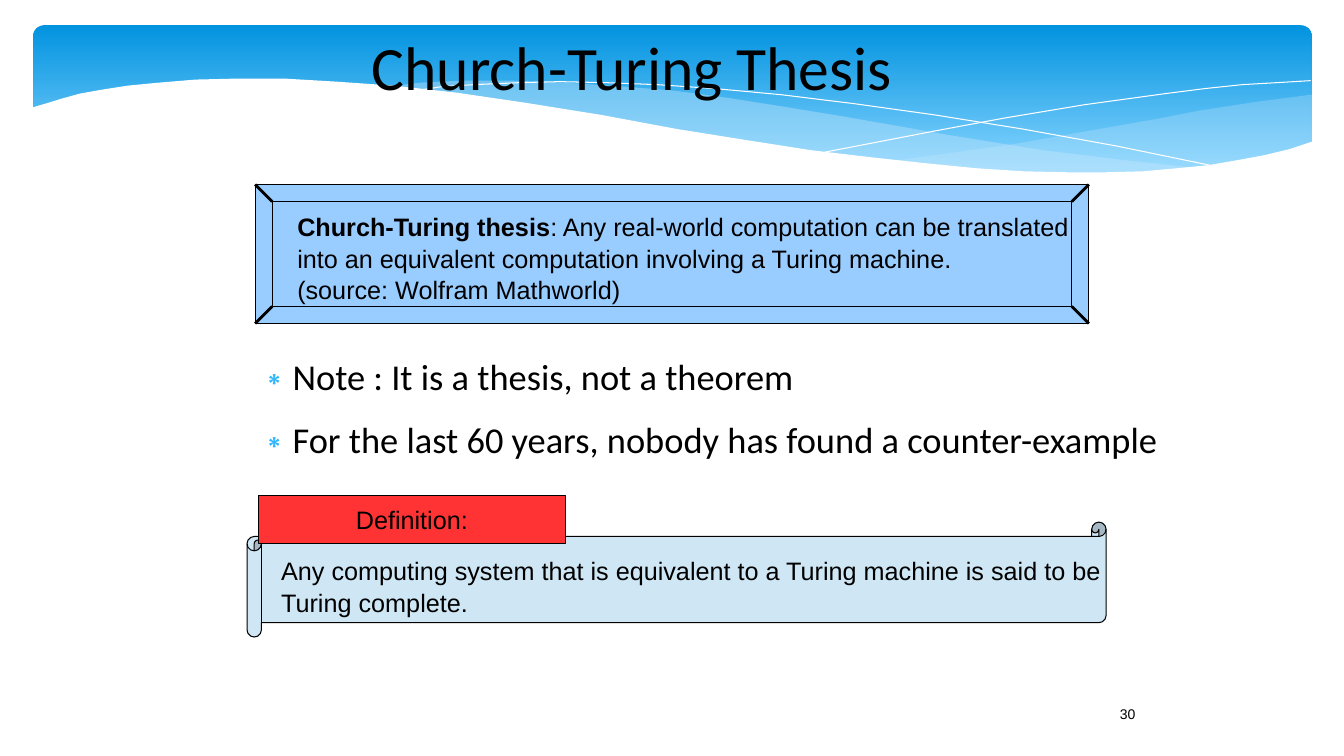
from lxml.etree import SubElement
from pptx import Presentation
from pptx.dml.color import RGBColor
from pptx.enum.shapes import MSO_CONNECTOR as CONN, MSO_SHAPE as SHAPE
from pptx.enum.text import MSO_ANCHOR as ANCHOR, MSO_AUTO_SIZE as AUTO, PP_ALIGN as ALIGN
from pptx.oxml.ns import qn
from pptx.util import Inches, Pt

BLACK = RGBColor(0, 0, 0)
WHITE = RGBColor(255, 255, 255)
SKY = RGBColor(0x02, 0x93, 0xE0)
PALE_SKY = RGBColor(0x83, 0xD3, 0xFE)
MIST = RGBColor(0xC6, 0xE7, 0xFC)
BULLET = RGBColor(0x31, 0xB6, 0xFD)
BEVEL = RGBColor(0x99, 0xCC, 0xFF)
SCROLL = RGBColor(0xCF, 0xE7, 0xF5)
RED = RGBColor(0xFF, 0x33, 0x33)

BACK_WAVE = [(13, .94), (12.46, 1.01), (11.88, 1.1), (11.47, 1.18), (10.73, 1.31),
             (10.05, 1.43), (9.41, 1.52), (8.82, 1.6), (9.4, 1.65), (9.93, 1.69),
             (10.41, 1.72), (11.13, 1.72), (11.63, 1.69), (12.07, 1.63), (12.47, 1.56),
             (12.84, 1.47), (13.01, 1.42), (13.01, .94)]
MIDDLE_WAVE = [(11.9, 1.67), (11.16, 1.59), (10.34, 1.49), (9.41, 1.34), (8.39, 1.16),
               (7.78, 1.06), (7.21, .97), (6.69, .9), (6.19, .86), (5.6, .82), (5.06, .8),
               (4.59, .8), (4.18, .82), (3.82, .86), (4.31, .9), (4.83, .97), (5.39, 1.06),
               (5.99, 1.16), (7.06, 1.35), (7.79, 1.46), (8.46, 1.56), (9.07, 1.63),
               (9.63, 1.68), (10.14, 1.71), (10.61, 1.73), (11.04, 1.73), (11.43, 1.71)]
FALLING_LINE = [(4.12, .9), (4.38, .86), (4.7, .84), (5.16, .82), (5.55, .81), (6, .82),
                (6.52, .84), (7.1, .88), (7.75, .94), (8.48, 1.03), (9.27, 1.14),
                (10.14, 1.28), (11.08, 1.45), (12.1, 1.66)]
RISING_LINE = [(8.18, 1.51), (8.7, 1.41), (9.27, 1.3), (9.97, 1.17), (10.75, 1.04),
               (11.55, .93), (11.94, .88), (12.32, .84), (12.67, .82), (13, .8)]
FRONT_WAVE = [(13.03, 1.4), (12.79, 1.48), (12.54, 1.54), (12.27, 1.59), (11.98, 1.64),
              (11.67, 1.67), (11.34, 1.7), (10.97, 1.71), (10.58, 1.71), (10.15, 1.7),
              (9.69, 1.67), (9.18, 1.62), (8.63, 1.56), (8.04, 1.49), (7.4, 1.39),
              (6.71, 1.28), (5.96, 1.14), (5.21, 1.02), (4.53, .92), (3.9, .85),
              (3.33, .81), (2.82, .78), (2.35, .78), (1.94, .79), (1.58, .82),
              (1.27, .85), (1.01, .89), (.79, .93), (.61, .98), (.48, 1.02), (.31, 1.07),
              (.31, 2.24), (13.03, 2.24)]


def paint(sp, fill=None, line=None, alpha=None):
    sp.shadow.inherit = False
    if fill is None:
        sp.fill.background()
    else:
        sp.fill.solid()
        sp.fill.fore_color.rgb = fill
    if alpha is not None:
        color = sp.fill._xPr.find(qn("a:solidFill"))[0]
        SubElement(color, qn("a:alpha")).set("val", str(alpha * 1000))
    if line is None:
        sp.line.fill.background()
    else:
        sp.line.color.rgb = line
        sp.line.width = Pt(0)


def add_box(s, kind, box, fill=None, line=None):
    sp = s.shapes.add_shape(kind, *map(Inches, box))
    paint(sp, fill, line)
    return sp


def add_wave(s, points, fill=None, line=None, alpha=None):
    pts = [(Inches(x), Inches(y)) for x, y in points]
    fb = s.shapes.build_freeform(*pts[0])
    fb.add_line_segments(pts[1:], close=fill is not None)
    paint(fb.convert_to_shape(), fill, line, alpha)


def add_bullet(p):
    pPr = p._p.get_or_add_pPr()
    pPr.set("marL", str(Inches(.47)))
    pPr.set("indent", str(Inches(-.35)))
    SubElement(SubElement(pPr, qn("a:buClr")), qn("a:srgbClr")).set("val", str(BULLET))
    SubElement(pPr, qn("a:buChar")).set("char", "∗")


def set_text(sp, lines, size=18, font="Arial", align=ALIGN.LEFT, anchor=ANCHOR.TOP,
             inset=(.1, .05), wrap=False, bullets=False, after=0, spacing=1.0, lead=""):
    tf = sp.text_frame
    tf.word_wrap = wrap
    tf.auto_size = AUTO.NONE
    tf.vertical_anchor = anchor
    tf.margin_left = tf.margin_right = Inches(inset[0])
    tf.margin_top = tf.margin_bottom = Inches(inset[1])
    for i, line in enumerate(lines):
        p = tf.add_paragraph() if i else tf.paragraphs[0]
        p.alignment = align
        p.line_spacing = spacing
        p.space_before = Pt(0)
        p.space_after = Pt(after)
        if bullets:
            add_bullet(p)
        parts = [(lead, True), (line, False)] if lead and i == 0 else [(line, False)]
        for text, bold in parts:
            r = p.add_run()
            r.text = text
            r.font.size = Pt(size)
            r.font.name = font
            r.font.bold = bold
            r.font.color.rgb = BLACK


def add_text(s, box, lines, **fmt):
    set_text(s.shapes.add_textbox(*map(Inches, box)), lines, **fmt)


def fill_placeholder(sp, box, lines, **fmt):
    sp.left, sp.top, sp.width, sp.height = map(Inches, box)
    set_text(sp, lines, font="Calibri", inset=(0, 0), wrap=True, **fmt)


def add_banner(s, box):
    sp = add_box(s, SHAPE.ROUNDED_RECTANGLE, box, SKY)
    sp.adjustments[0] = .07
    sp.fill.gradient()
    sp.fill.gradient_angle = 270
    for stop, color, pos in zip(sp.fill.gradient_stops, (SKY, PALE_SKY), (0, .9)):
        stop.color.rgb = color
        stop.position = pos
    add_wave(s, BACK_WAVE, MIST, alpha=29)
    add_wave(s, MIDDLE_WAVE, MIST, alpha=40)
    add_wave(s, FALLING_LINE, line=WHITE)
    add_wave(s, RISING_LINE, line=WHITE)
    add_wave(s, FRONT_WAVE, WHITE)


def add_thesis(s, box, edge=.17):
    x, y, w, h = box
    add_box(s, SHAPE.RECTANGLE, box, BEVEL, BLACK)
    add_box(s, SHAPE.RECTANGLE, (x + edge, y + edge, w - 2 * edge, h - 2 * edge), BEVEL, BLACK)
    for cx, dx in ((x, edge), (x + w, -edge)):
        for cy, dy in ((y, edge), (y + h, -edge)):
            c = s.shapes.add_connector(CONN.STRAIGHT, *map(Inches, (cx, cy, cx + dx, cy + dy)))
            c.line.color.rgb = BLACK
            c.line.width = Pt(0)
            SubElement(c._element.spPr, qn("a:effectLst"))
    add_text(s, (x + .32, y + .21, 8.11, .94),
             [": Any real-world computation can be translated",
              "into an equivalent computation involving a Turing machine.",
              "(source: Wolfram Mathworld)"], lead="Church-Turing thesis", spacing=1.04)


def add_definition(s, box):
    x, y, w, h = box
    add_box(s, SHAPE.HORIZONTAL_SCROLL, box, SCROLL, BLACK)
    add_text(s, (x + .24, y + .27, 8.31, .66),
             ["Any computing system that is equivalent to a Turing machine is said to be",
              "Turing complete."], spacing=1.04)
    label = add_box(s, SHAPE.RECTANGLE, (x + .11, y - .26, 3.05, .47), RED, BLACK)
    set_text(label, ["Definition:"], align=ALIGN.CENTER, anchor=ANCHOR.MIDDLE)


def main():
    prs = Presentation()
    prs.slide_width, prs.slide_height = Inches(13.33), Inches(7.5)
    s = prs.slides.add_slide(prs.slide_layouts[1])
    title, body = s.placeholders
    add_banner(s, (.33, .25, 12.68, 1.56))
    for sp in (title, body):
        s.shapes._spTree.append(sp._element)
    fill_placeholder(title, (2.64, .14, 7.26, 1.02), ["Church-Turing Thesis"],
                     size=44, align=ALIGN.CENTER, anchor=ANCHOR.MIDDLE)
    fill_placeholder(body, (2.42, 3.51, 9.08, 1.16),
                     ["Note\u00a0: It is a thesis, not a theorem".replace("\u00a0", " "),
                      "For the last 60 years, nobody has found a counter-example"],
                     size=26, bullets=True, after=14.1)
    add_thesis(s, (2.53, 1.83, 8.27, 1.38))
    add_definition(s, (2.45, 5.18, 8.52, 1.14))
    add_text(s, (11.01, 6.95, .61, .4), ["30"], size=10)
    prs.save("out.pptx")


if __name__ == "__main__":
    main()
